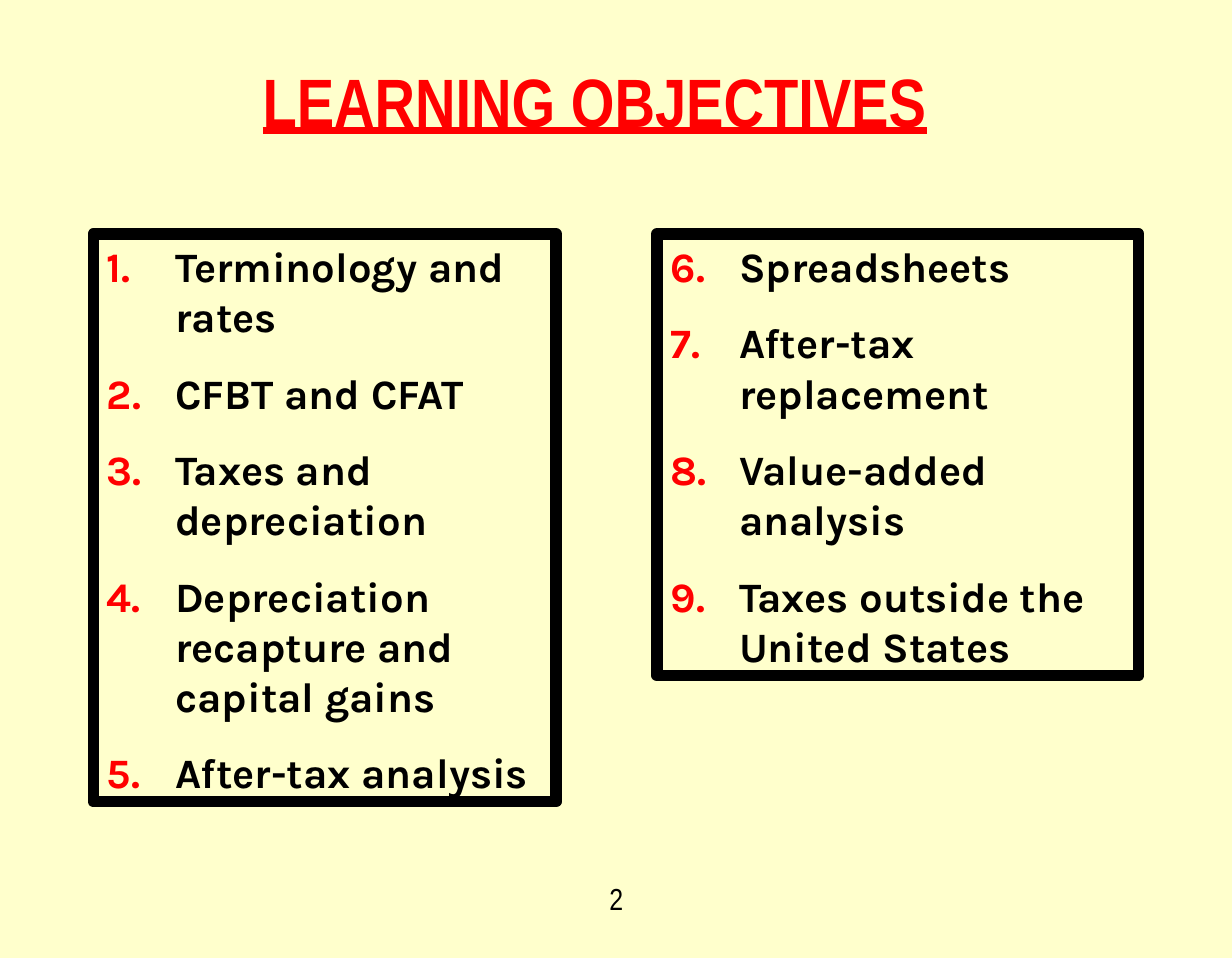
from lxml.etree import SubElement
from pptx import Presentation
from pptx.dml.color import RGBColor
from pptx.enum.text import MSO_ANCHOR, MSO_AUTO_SIZE, PP_ALIGN
from pptx.oxml.ns import qn
from pptx.util import Cm, Pt

HEX = {"page": "FFFFCC", "ink": "000000", "accent": "FF0000"}
TITLE = "LEARNING OBJECTIVES"
PAGE = "2"
LEFT = [
    "Terminology and rates",
    "CFBT and CFAT",
    "Taxes and depreciation",
    "Depreciation recapture and capital gains",
    "After-tax analysis",
]
RIGHT = [
    "Spreadsheets",
    "After-tax replacement",
    "Value-added analysis",
    "Taxes outside the United States",
]
TOP = 4.34
# items, left, width, height in cm
LISTS = [(LEFT, 1.73, 8.59, 10.54), (RIGHT, 12.19, 8.94, 8.2)]
INDENT = Cm(1.27)


def color(name):
    return RGBColor.from_string(HEX[name])


def place(shape, left, top, width, height):
    shape.left, shape.top = Cm(left), Cm(top)
    shape.width, shape.height = Cm(width), Cm(height)


def style(par, face, size, tint, bold=False):
    font = par.font
    font.name, font.size, font.bold = face, Pt(size), bold
    font.color.rgb = color(tint)


def number(par, start):
    """Give the paragraph a hanging, coloured number."""
    props = par._p.get_or_add_pPr()
    props.set("marL", str(INDENT))
    props.set("indent", str(-INDENT))
    tint = SubElement(props, qn("a:buClr"))
    SubElement(tint, qn("a:srgbClr"), val=HEX["accent"])
    SubElement(props, qn("a:buFontTx"))
    SubElement(props, qn("a:buAutoNum"), type="arabicPeriod", startAt=str(start))


def fill_list(box, items, start):
    frame = box.text_frame
    frame.text = "\n".join(items)
    frame.auto_size = MSO_AUTO_SIZE.NONE
    frame.vertical_anchor = MSO_ANCHOR.TOP
    for i, par in enumerate(frame.paragraphs):
        number(par, start)
        par.space_before = Pt(13.8 if i else 0)
        style(par, "Karla", 22, "ink", bold=True)


def main():
    deck = Presentation()
    deck.slide_width, deck.slide_height = Cm(22.86), Cm(17.78)
    slide = deck.slides.add_slide(deck.slide_layouts[3])
    back = slide.background.fill
    back.solid()
    back.fore_color.rgb = color("page")

    title = slide.shapes.title
    place(title, 1.32, 0.58, 19.43, 2.54)
    title.text_frame.text = TITLE
    title.text_frame.auto_size = MSO_AUTO_SIZE.NONE
    title.text_frame.vertical_anchor = MSO_ANCHOR.MIDDLE
    head = title.text_frame.paragraphs[0]
    head.alignment = PP_ALIGN.CENTER
    style(head, "Arial Narrow", 36, "accent", bold=True)
    head.font.underline = True

    start = 1
    for idx, (items, left, width, height) in enumerate(LISTS, 1):
        box = slide.placeholders[idx]
        place(box, left, TOP, width, height)
        box.line.color.rgb = color("ink")
        box.line.width = Pt(6)
        fill_list(box, items, start)
        start += len(items)

    foot = slide.shapes.add_textbox(Cm(9.91), Cm(16.21), Cm(3.05), Cm(1.19))
    foot.text_frame.word_wrap = True
    foot.text_frame.text = PAGE
    par = foot.text_frame.paragraphs[0]
    par.alignment = PP_ALIGN.CENTER
    style(par, "Arial Narrow", 16, "ink")

    deck.save("out.pptx")


if __name__ == "__main__":
    main()
